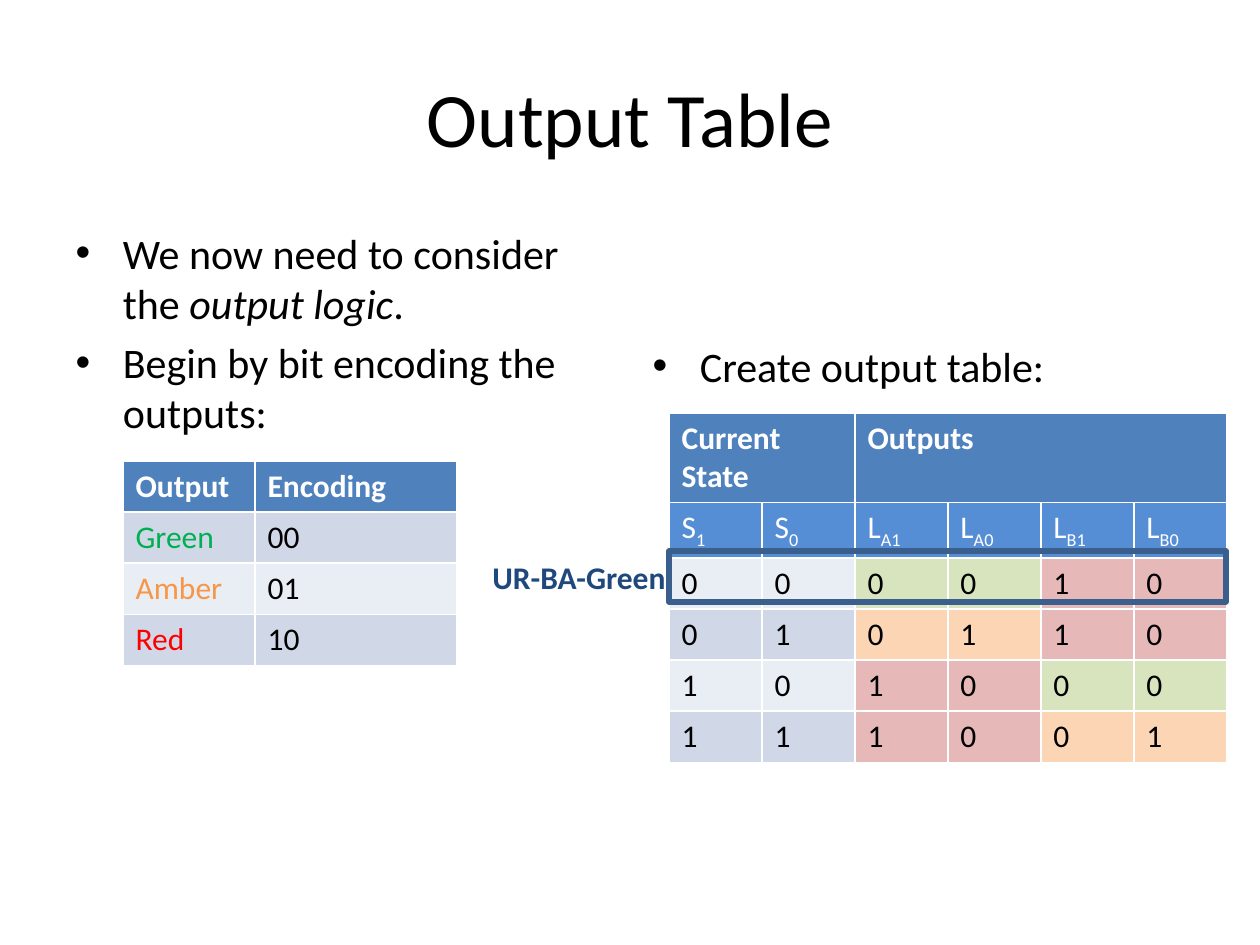
from pptx import Presentation
from pptx.dml.color import RGBColor
from pptx.enum.shapes import MSO_SHAPE
from pptx.util import Emu, Pt

EMU_PER_PX = 914400 / 126
FONT = "Calibri"
COLORS = {
    "black": "000000", "white": "FFFFFF", "navy": "1F497D", "frame": "3A5F8C",
    "header": "4F81BD", "subheader": "558ED5",
    "band_dark": "D0D8E8", "band_light": "E9EDF4",
    "green": "00B050", "amber": "F79646", "red": "FF0000",
}
# Fill behind each two-bit light encoding: green, amber, red
LIGHT_FILLS = {"00": "D7E4BD", "01": "FCD5B5", "10": "E6B9B8"}

ENCODINGS = [("Green", "00"), ("Amber", "01"), ("Red", "10")]
SIGNALS = [("S", "1"), ("S", "0"), ("L", "A1"), ("L", "A0"), ("L", "B1"), ("L", "B0")]
# State bits, light A bits, light B bits
STATES = [("00", "00", "10"), ("01", "01", "10"), ("10", "10", "00"), ("11", "10", "01")]


def px(length):
    return Emu(round(length * EMU_PER_PX))


def rgb(color):
    return RGBColor.from_string(COLORS.get(color, color))


def add_run(paragraph, text, size=18, color="black", bold=False, italic=False, subscript=False):
    run = paragraph.add_run()
    run.text = text
    font = run.font
    font.name, font.size, font.bold, font.italic = FONT, Pt(size), bold, italic
    font.color.rgb = rgb(color)
    if subscript:
        run._r.get_or_add_rPr().set("baseline", "-25000")


def place(shape, left, top, width, height):
    shape.left, shape.top = px(left), px(top)
    shape.width, shape.height = px(width), px(height)


def fill_bullets(placeholder, box, bullets):
    """Each bullet is a list of (text, italic) pieces."""
    place(placeholder, *box)
    frame = placeholder.text_frame
    for index, pieces in enumerate(bullets):
        paragraph = frame.add_paragraph() if index else frame.paragraphs[0]
        for text, italic in pieces:
            add_run(paragraph, text, size=24, italic=italic)


def fill_cell(cell, text, fill, color="black", bold=False, subscript=""):
    cell.fill.solid()
    cell.fill.fore_color.rgb = rgb(fill)
    paragraph = cell.text_frame.paragraphs[0]
    add_run(paragraph, text, color=color, bold=bold)
    if subscript:
        add_run(paragraph, subscript, color=color, subscript=True)


def add_grid(slide, left, top, widths, heights):
    table = slide.shapes.add_table(
        len(heights), len(widths), px(left), px(top), px(sum(widths)), px(sum(heights))
    ).table
    for column, width in zip(table.columns, widths):
        column.width = px(width)
    for row, height in zip(table.rows, heights):
        row.height = px(height)
    return table


def band(row):
    return "band_dark" if row % 2 else "band_light"


def add_output_table(slide):
    table = add_grid(slide, 669, 413, [93] * 6, [88] + [51] * 5)
    # Merged headings
    for first, last, heading in [(0, 1, "Current State"), (2, 5, "Outputs")]:
        table.cell(0, first).merge(table.cell(0, last))
        fill_cell(table.cell(0, first), heading, "header", "white", bold=True)
    # Signal names
    for column, (letter, index) in enumerate(SIGNALS):
        fill_cell(table.cell(1, column), letter, "subheader", "white", subscript=index)
    # One row per state, lights shaded by their encoding
    for row, (state, light_a, light_b) in enumerate(STATES, start=2):
        fills = [band(row), LIGHT_FILLS[light_a], LIGHT_FILLS[light_b]]
        for column, bit in enumerate(state + light_a + light_b):
            fill_cell(table.cell(row, column), bit, fills[column // 2])


def add_encoding_table(slide):
    table = add_grid(slide, 123, 461, [132, 202], [51] * 4)
    for column, heading in enumerate(["Output", "Encoding"]):
        fill_cell(table.cell(0, column), heading, "header", "white", bold=True)
    for row, (light, code) in enumerate(ENCODINGS, start=1):
        fill_cell(table.cell(row, 0), light, band(row), light.lower())
        fill_cell(table.cell(row, 1), code, band(row))


def add_row_highlight(slide):
    label = slide.shapes.add_textbox(px(480), px(552), px(223), px(50))
    label.text_frame.word_wrap = True
    add_run(label.text_frame.paragraphs[0], "UR-BA-Green", color="navy", bold=True)

    frame = slide.shapes.add_shape(MSO_SHAPE.RECTANGLE, px(669), px(551), px(557), px(51))
    frame.shadow.inherit = False
    frame.fill.background()
    frame.line.color.rgb = rgb("frame")
    frame.line.width = Pt(3)


def main():
    deck = Presentation()
    deck.slide_width, deck.slide_height = px(1260), px(945)
    slide = deck.slides.add_slide(deck.slide_layouts[3])
    title, encoding_notes, table_notes = slide.placeholders

    # Title and lists
    place(title, 63, 38, 1134, 158)
    add_run(title.text_frame.paragraphs[0], "Output Table", size=44)
    fill_bullets(encoding_notes, (63, 221, 557, 624), [
        [("We now need to consider the ", False), ("output logic", True), (".", False)],
        [("Begin by bit encoding the outputs:", False)],
    ])
    fill_bullets(table_notes, (640, 334, 557, 510), [[("Create output table:", False)]])

    # Tables and the marked row
    add_output_table(slide)
    add_encoding_table(slide)
    add_row_highlight(slide)

    deck.save("out.pptx")


if __name__ == "__main__":
    main()
